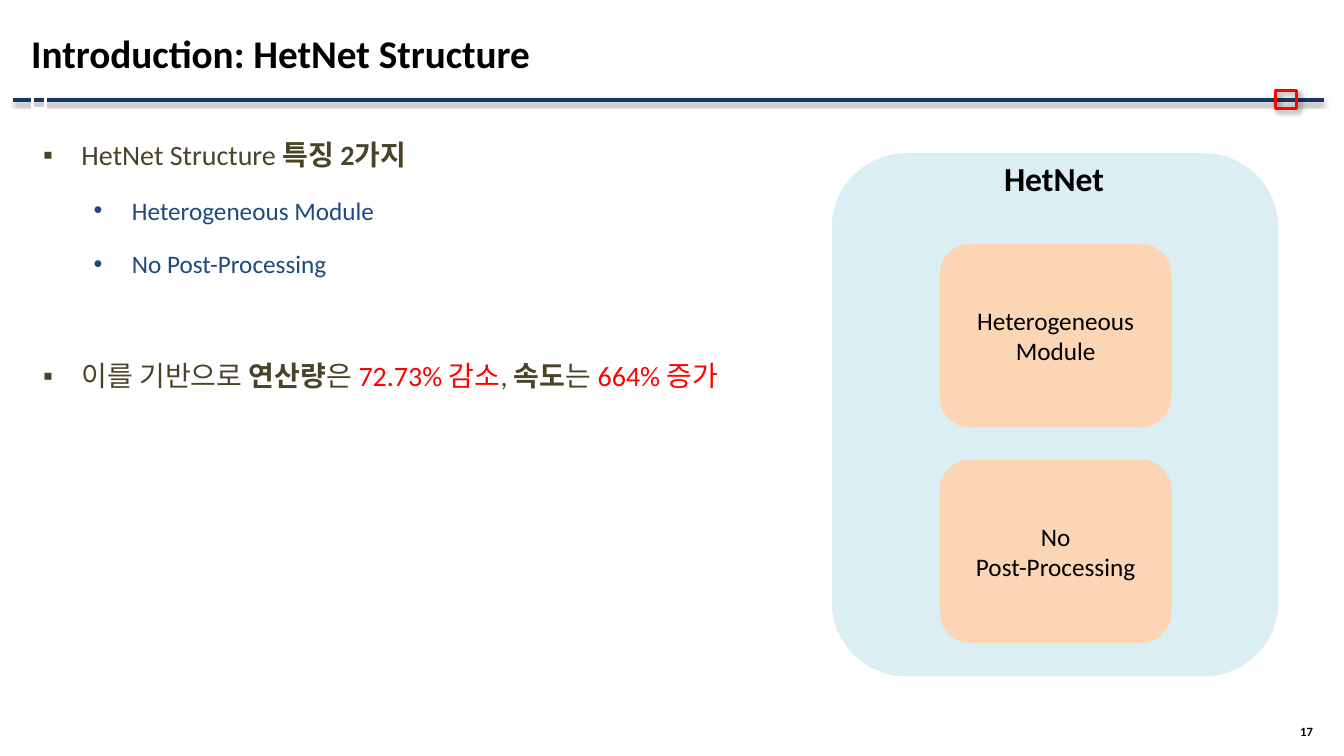
from dataclasses import dataclass

from lxml import etree
from pptx import Presentation
from pptx import util as u
from pptx.dml.color import RGBColor
from pptx.enum import shapes, text
from pptx.oxml import ns

PX = 9144


@dataclass(frozen=True)
class Theme:
    """Colours, font and type sizes of the slide."""
    font: str = "Calibri"
    black: str = "000000"
    white: str = "FFFFFF"
    red: str = "FF0000"
    navy: str = "17365D"
    olive: str = "494429"
    blue: str = "1F497D"
    panel: str = "DBEEF4"
    module: str = "FCD5B5"
    title_size: int = 28
    heading_size: int = 24
    bullet_size: int = 20
    text_size: int = 18
    number_size: int = 9


THEME = Theme()


def box(*lengths):
    """Turn px lengths into EMU."""
    return [length * PX for length in lengths]


def format_runs(paragraph, size, color=THEME.black, bold=False):
    """Give every run of a paragraph the same type."""
    for run in paragraph.runs:
        run.font.name = THEME.font
        run.font.size = u.Pt(size)
        run.font.bold = bold
        run.font.color.rgb = RGBColor.from_string(color)


def add_shadow(shape, alpha, blur, distance, degrees):
    """Replace the theme shadow with an explicit outer shadow."""
    properties = shape._element.spPr
    for effects in properties.findall(ns.qn("a:effectLst")):
        properties.remove(effects)
    effects = etree.SubElement(properties, ns.qn("a:effectLst"))
    shadow = etree.SubElement(
        effects, ns.qn("a:outerShdw"), blurRad=str(u.Pt(blur)),
        dist=str(u.Pt(distance)), dir=str(degrees * 60000), rotWithShape="0")
    color = etree.SubElement(shadow, ns.qn("a:srgbClr"), val=THEME.black)
    etree.SubElement(color, ns.qn("a:alpha"), val=str(alpha * 1000))


def add_rule(slide, left, top, right):
    """Draw the shadowed line under the title."""
    rule = slide.shapes.add_connector(
        shapes.MSO_CONNECTOR.STRAIGHT, *box(left, top, right, top))
    rule.line.color.rgb = RGBColor.from_string(THEME.navy)
    rule.line.width = u.Pt(3)
    add_shadow(rule, 35, 3.1, 1.8, 90)


def add_frame(slide, position, color):
    """Draw an unfilled rectangle on the rule."""
    frame = slide.shapes.add_shape(
        shapes.MSO_SHAPE.RECTANGLE, *box(*position))
    frame.shadow.inherit = False
    frame.fill.background()
    frame.line.color.rgb = RGBColor.from_string(color)
    frame.line.width = u.Pt(2.25)
    return frame


def add_card(slide, position, color, lines=()):
    """Draw a rounded card with centred lines."""
    card = slide.shapes.add_shape(
        shapes.MSO_SHAPE.ROUNDED_RECTANGLE, *box(*position))
    card.shadow.inherit = False
    card.fill.solid()
    card.fill.fore_color.rgb = RGBColor.from_string(color)
    card.line.fill.background()
    card.text_frame.text = "\n".join(lines)
    for paragraph in card.text_frame.paragraphs:
        paragraph.alignment = text.PP_ALIGN.CENTER
        format_runs(paragraph, THEME.text_size)


def add_label(slide, position, words, size, alignment, wrap=True):
    """Place a bold one-line label."""
    label = slide.shapes.add_textbox(*box(*position))
    frame = label.text_frame
    frame.word_wrap = wrap
    frame.text = words
    frame.paragraphs[0].alignment = alignment
    format_runs(frame.paragraphs[0], size, bold=True)
    return label


def set_title(slide, position, words):
    """Move and format the title placeholder."""
    title = slide.shapes.title
    title.left, title.top, title.width, title.height = box(*position)
    title.text_frame.text = words
    title.text_frame.vertical_anchor = text.MSO_ANCHOR.MIDDLE
    paragraph = title.text_frame.paragraphs[0]
    paragraph.alignment = text.PP_ALIGN.LEFT
    format_runs(paragraph, THEME.title_size, bold=True)


def add_bullet(paragraph, level, parts, space_before=6):
    """Fill a bulleted paragraph from (words, bold, colour) parts."""
    mark, color, size, margin = (
        ("▪", THEME.olive, THEME.bullet_size, 50),
        ("•", THEME.blue, THEME.text_size, 100))[level]
    paragraph.level = level
    paragraph.line_spacing = 1.5
    paragraph.space_before = u.Pt(space_before)
    properties = paragraph._p.get_or_add_pPr()
    properties.set("marL", str(margin * PX))
    properties.set("indent", str(-38 * PX))
    bullet_color = etree.SubElement(properties, ns.qn("a:buClr"))
    etree.SubElement(bullet_color, ns.qn("a:srgbClr"), val=color)
    etree.SubElement(properties, ns.qn("a:buFont"), typeface="Arial")
    etree.SubElement(properties, ns.qn("a:buChar"), char=mark)
    for words, _, _ in parts:
        paragraph.add_run().text = words
    format_runs(paragraph, size, color)
    for run, (_, bold, part_color) in zip(paragraph.runs, parts):
        run.font.bold = bold
        run.font.color.rgb = RGBColor.from_string(part_color)


def add_bullets(slide, position, bullets):
    """Place the bulleted text."""
    frame = slide.shapes.add_textbox(*box(*position)).text_frame
    frame.word_wrap = True
    for index, bullet in enumerate(bullets):
        paragraph = frame.add_paragraph() if index else frame.paragraphs[0]
        add_bullet(paragraph, *bullet)


def main():
    """Build and save the slide."""
    presentation = Presentation()
    presentation.slide_width, presentation.slide_height = box(1333, 750)
    slide = presentation.slides.add_slide(presentation.slide_layouts[5])

    add_rule(slide, 13, 99, 1313)
    add_frame(slide, (32, 92, 13, 16), THEME.white)
    marker = add_frame(slide, (1265, 90, 21, 18), THEME.red)
    add_shadow(marker, 40, 4, 3, 45)
    number = add_label(slide, (1223, 714, 89, 24), "17",
                       THEME.number_size, text.PP_ALIGN.RIGHT)
    number.text_frame.vertical_anchor = text.MSO_ANCHOR.MIDDLE
    set_title(slide, (21, 5, 1292, 95), "Introduction: HetNet Structure")

    olive, blue, red = THEME.olive, THEME.blue, THEME.red
    add_bullets(slide, (21, 115, 1202, 599), [
        (0, [("HetNet Structure ", False, olive), ("특징 2가지", True, olive)]),
        (1, [("Heterogeneous Module", False, blue)]),
        (1, [("No Post-Processing", False, blue)]),
        (0, [("이를 기반으로 ", False, olive), ("연산량", True, olive),
             ("은 ", False, olive), ("72.73% 감소", False, red),
             (", ", False, olive), ("속도", True, olive),
             ("는 ", False, olive), ("664% 증가", False, red)], 45),
    ])

    add_card(slide, (825, 152, 443, 519), THEME.panel)
    modules = (["Heterogeneous Module"], ["No", "Post-Processing"])
    for row, lines in enumerate(modules):
        add_card(slide, (932, 242 + row * 214, 230, 182), THEME.module, lines)
    add_label(slide, (986, 152, 121, 50), "HetNet", THEME.heading_size,
              text.PP_ALIGN.LEFT, wrap=False)
    presentation.save("out.pptx")


if __name__ == "__main__":
    main()
